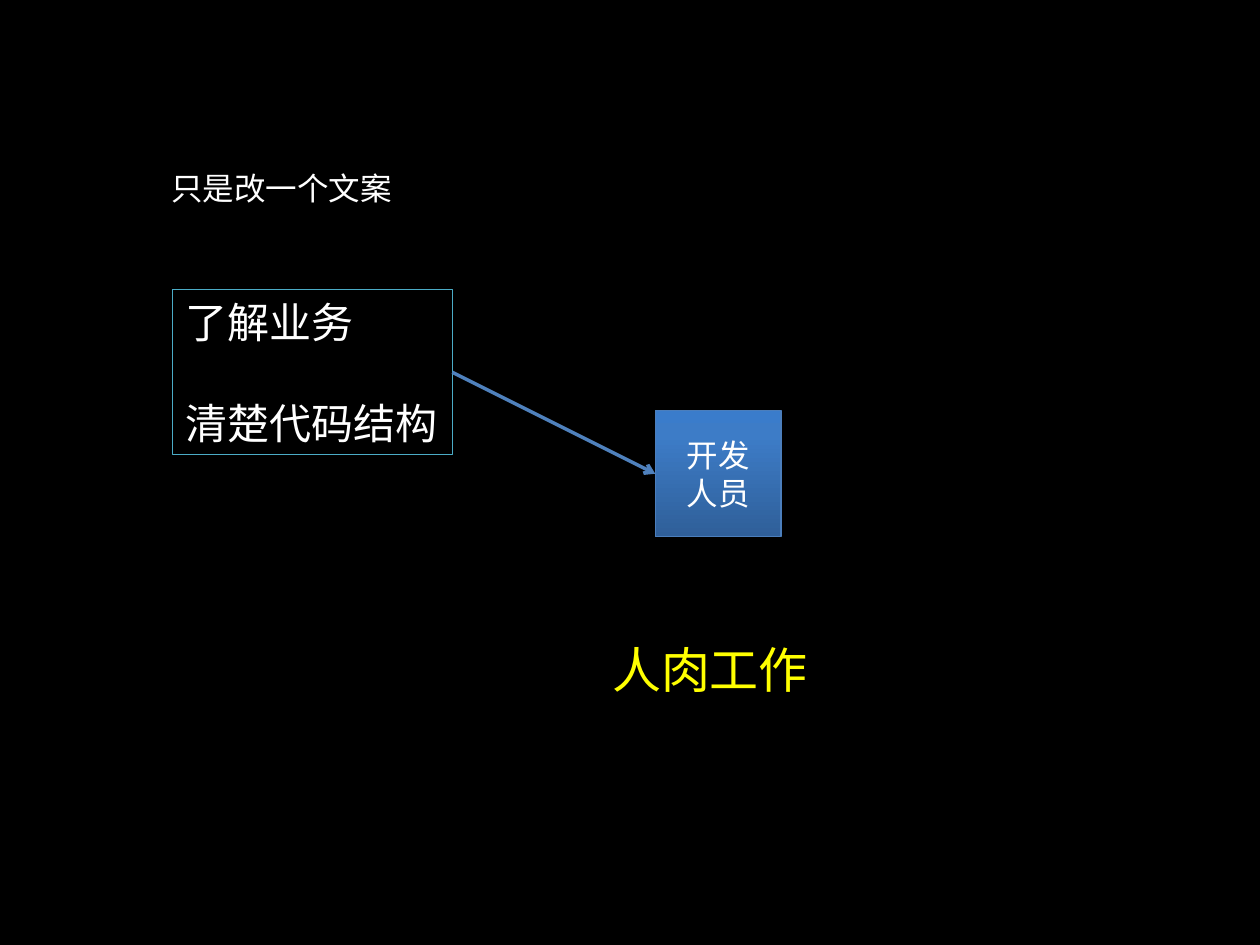
from copy import deepcopy

from lxml import etree
from pptx import Presentation
from pptx.dml.color import RGBColor
from pptx.enum import shapes, text
from pptx.oxml import ns
from pptx.util import Inches, Pt


def color(value):
    return RGBColor.from_string(value)


def write(box, lines, size, ink, align=text.PP_ALIGN.LEFT, gap=0):
    frame = box.text_frame
    frame.text = "\n".join(lines)
    for index, para in enumerate(frame.paragraphs):
        para.alignment = align
        para.font.name = "Arial"
        para.font.size = Pt(size)
        para.font.color.rgb = color(ink)
        if index and gap:
            para.space_before = Pt(gap)


deck = Presentation()
deck.slide_width, deck.slide_height = Inches(10), Inches(7.5)
page = deck.slides.add_slide(deck.slide_layouts[6])
page.background.fill.solid()
page.background.fill.fore_color.rgb = color("000000")

labels = [
    (1.26, 1.29, 1.97, 0.4, ["只是改一个文案"], 18, "FFFFFF"),
    (1.37, 2.3, 2.22, 1.31, ["了解业务", "清楚代码结构"], 24, "FFFFFF"),
    (4.76, 5.03, 1.77, 0.57, ["人肉工作"], 28, "FFFF00"),
]
boxes = []
for left, top, width, height, lines, size, ink in labels:
    box = page.shapes.add_textbox(Inches(left), Inches(top), Inches(width), Inches(height))
    box.text_frame.word_wrap = False
    box.text_frame.auto_size = text.MSO_AUTO_SIZE.SHAPE_TO_FIT_TEXT
    write(box, lines, size, ink, gap=29)
    boxes.append(box)

knowledge = boxes[1]
knowledge.line.color.rgb = color("4BACC6")
knowledge.line.width = Pt(0.75)

developer = page.shapes.add_shape(
    shapes.MSO_SHAPE.RECTANGLE, Inches(5.2), Inches(3.26), Inches(1), Inches(1)
)
developer.shadow.inherit = False
developer.line.color.rgb = color("4B7EBC")
developer.line.width = Pt(0.75)
developer.fill.gradient()
developer.fill.gradient_angle = 90
stop_list = developer.element.spPr.find(".//" + ns.qn("a:gsLst"))
stop_list.append(deepcopy(stop_list[-1]))
stops = [(0, "2F5F99"), (0.8, "3D7CC7"), (1, "3A7CCB")]
for stop, (position, shade) in zip(developer.fill.gradient_stops, stops):
    stop.position = position
    stop.color.rgb = color(shade)
developer.text_frame.vertical_anchor = text.MSO_ANCHOR.MIDDLE
write(developer, ["开发", "人员"], 18, "FFFFFF", text.PP_ALIGN.CENTER)

arrow = page.shapes.add_connector(
    shapes.MSO_CONNECTOR.STRAIGHT, Inches(3.59), Inches(2.95), Inches(5.2), Inches(3.76)
)
arrow.begin_connect(knowledge, 3)
arrow.end_connect(developer, 1)
arrow.line.color.rgb = color("4F81BD")
arrow.line.width = Pt(2)
etree.SubElement(arrow.line._get_or_add_ln(), ns.qn("a:tailEnd"), type="arrow")
etree.SubElement(arrow._element.spPr, ns.qn("a:effectLst"))

deck.save("out.pptx")
